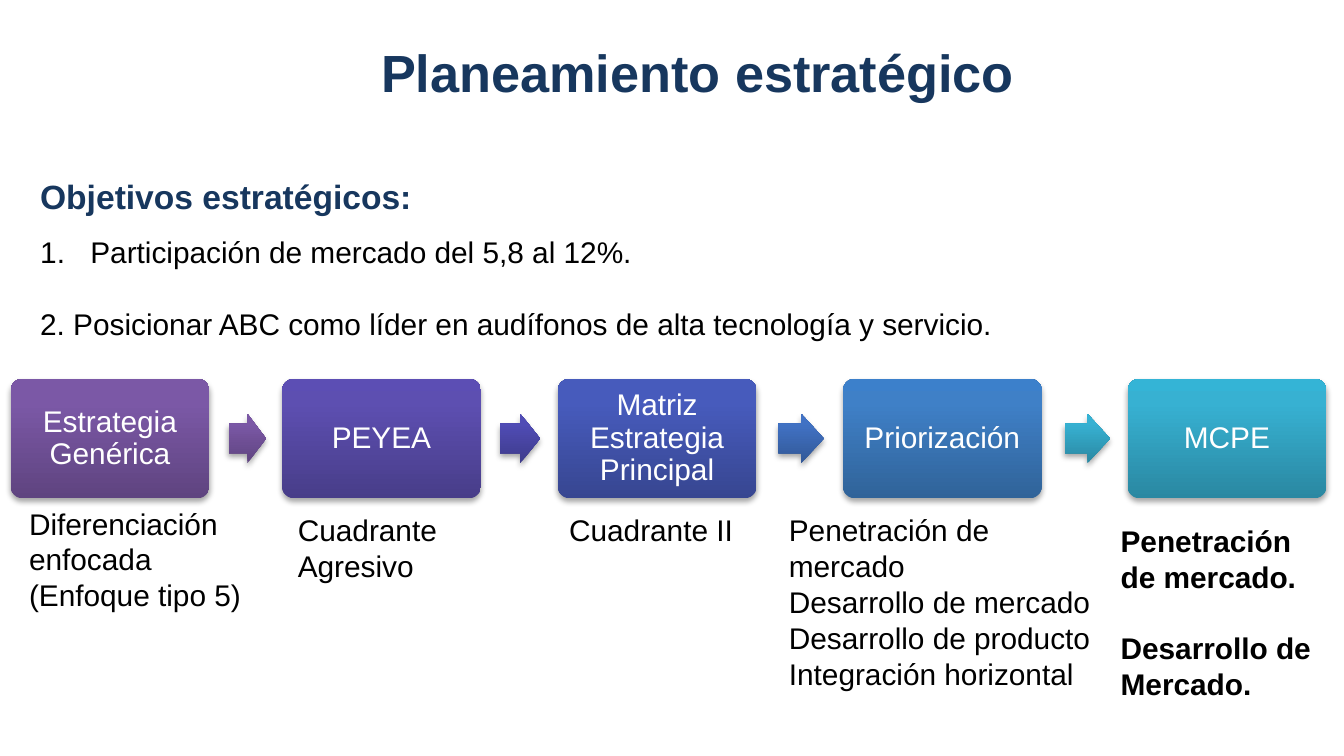
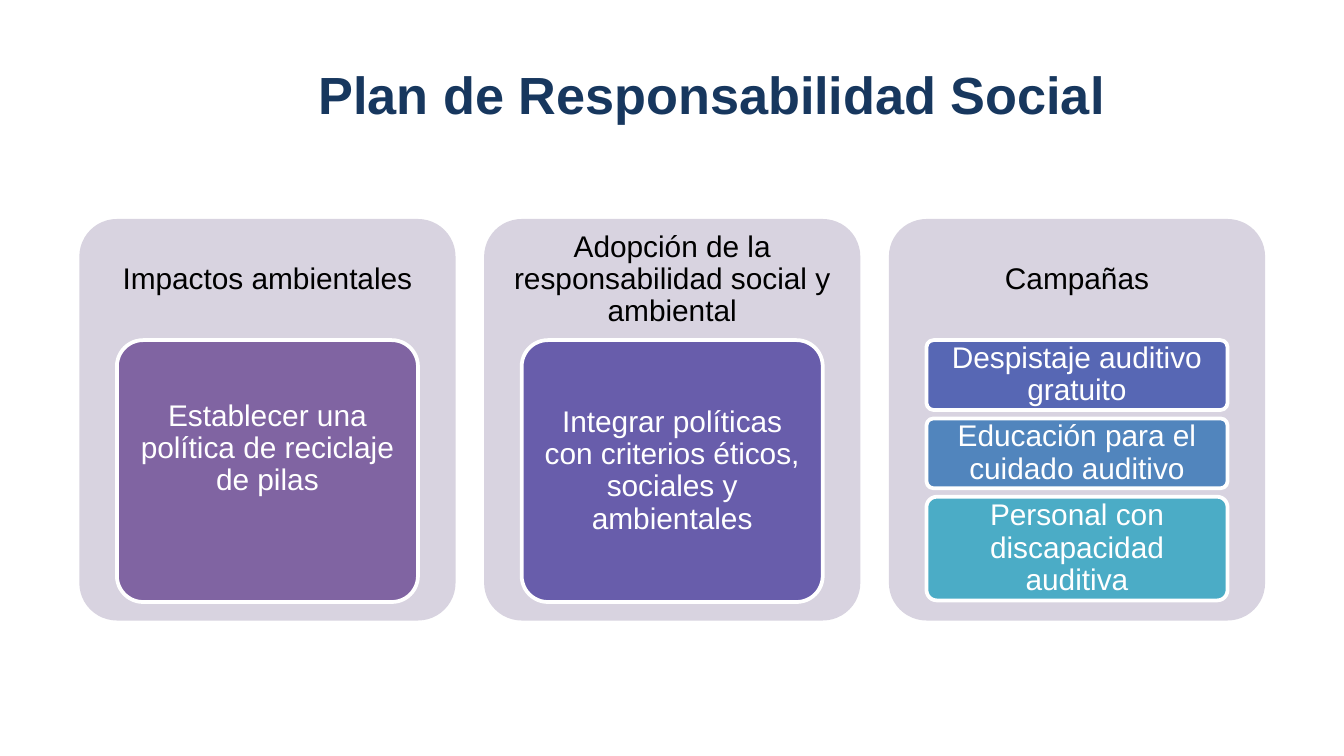
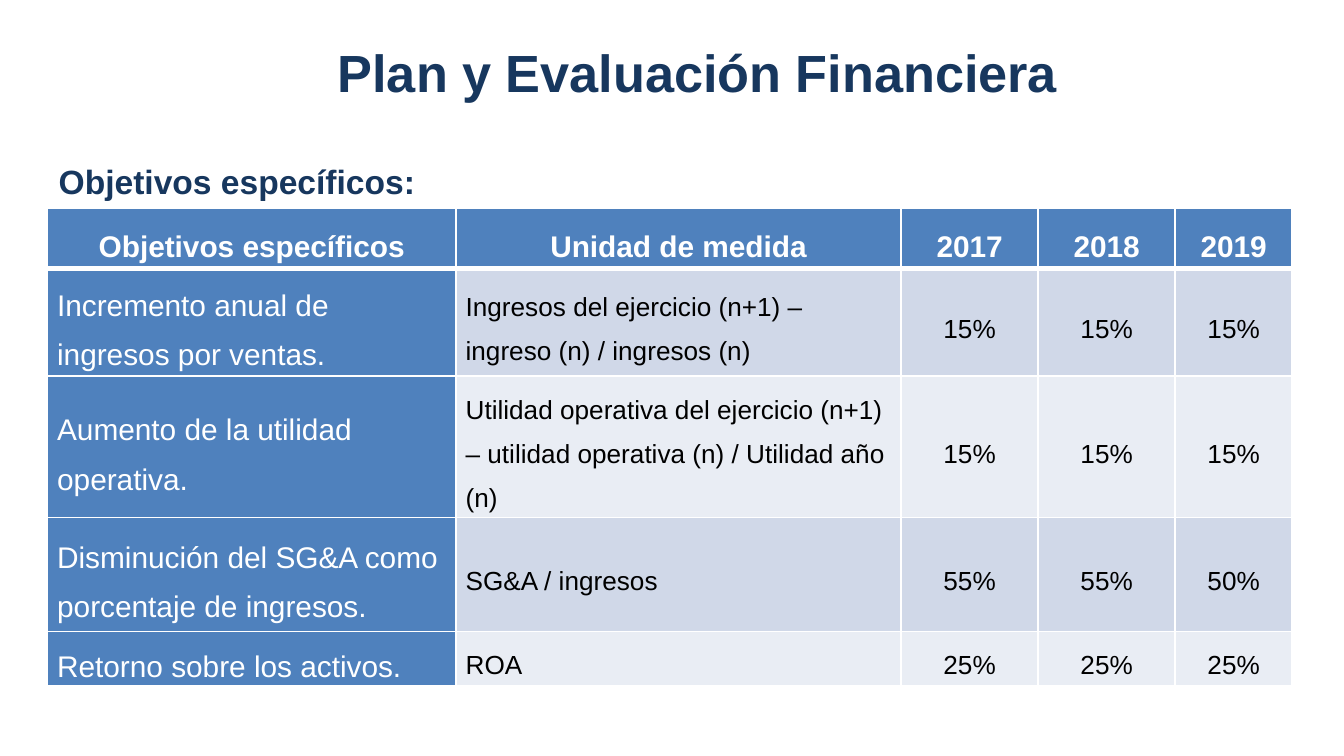
"""Build three slides on strategy, social responsibility and financial goals."""
from copy import deepcopy

from lxml.etree import SubElement
from pptx import Presentation
from pptx.dml.color import RGBColor
from pptx.enum.shapes import MSO_SHAPE
from pptx.enum.text import MSO_ANCHOR, PP_ALIGN
from pptx.oxml.ns import qn
from pptx.util import Cm, Pt

FONT = "Arial"
LEFT, CENTER, JUSTIFY = PP_ALIGN.LEFT, PP_ALIGN.CENTER, PP_ALIGN.JUSTIFY
COLORS = {
    "navy": "17375E", "white": "FFFFFF", "black": "000000", "panel": "D8D3E0",
    "recycling": "8064A2", "policies": "685DAB", "screening": "5767B4",
    "education": "5185BD", "inclusion": "4BACC6",
    "header": "4F81BD", "band_dark": "D0D8E8", "band_light": "E9EDF4",
}
GRADIENTS = {
    "purple": ("5F4480", "7B58A6", "7C57A8"),
    "violet": ("483D89", "5D4FB1", "5C4EB4"),
    "indigo": ("3E3B8B", "504CB5", "4F4BB8"),
    "royal": ("374691", "475BBC", "455ABF"),
    "cobalt": ("325897", "4172C4", "3F72C7"),
    "blue": ("306399", "3F80C7", "3C80CB"),
    "teal": ("2A88A2", "37B1D2", "34B4D6"),
}


def rgb(name):
    return RGBColor.from_string(COLORS[name])


class Deck:
    def __init__(self):
        self.prs = Presentation()
        self.prs.slide_width, self.prs.slide_height = Cm(25.4), Cm(14.29)
        self.s = None

    def slide(self, title, x=5.33, y=0.15):
        self.s = self.prs.slides.add_slide(self.prs.slide_layouts[6])
        self.text((x, y, 15.7, 2.39), [title], size=28, color="navy",
                  bold=True, align=CENTER, anchor=MSO_ANCHOR.MIDDLE)

    def para(self, tf, text, first=False, size=16, color="black", bold=False,
             align=LEFT, spacing=None, before=0):
        p = tf.paragraphs[0] if first else tf.add_paragraph()
        p.alignment = align
        p.space_before = Pt(before)
        if spacing:
            p.line_spacing = spacing
        r = p.add_run()
        r.text = text
        r.font.name, r.font.size, r.font.bold = FONT, Pt(size), bold
        r.font.color.rgb = rgb(color)
        return p

    def fill_frame(self, tf, lines, anchor=MSO_ANCHOR.TOP,
                   insets=(0.25, 0.13, 0.25, 0.13), **style):
        tf.word_wrap = True
        tf.vertical_anchor = anchor
        (tf.margin_left, tf.margin_top,
         tf.margin_right, tf.margin_bottom) = map(Cm, insets)
        for i, line in enumerate(lines):
            self.para(tf, line, first=i == 0, **style)

    def text(self, box, lines, **style):
        tf = self.s.shapes.add_textbox(*map(Cm, box)).text_frame
        self.fill_frame(tf, lines, **style)
        return tf

    def label(self, tf, text, color, insets):
        self.fill_frame(tf, [text], color=color, insets=insets, align=CENTER,
                        spacing=0.9, anchor=MSO_ANCHOR.MIDDLE)

    def shape(self, kind, box, adjustments):
        sp = self.s.shapes.add_shape(kind, *map(Cm, box))
        for i, value in enumerate(adjustments):
            sp.adjustments[i] = value
        sp.shadow.inherit = False
        sp.line.fill.background()
        return sp

    def card(self, box, color, outlined=False):
        sp = self.shape(MSO_SHAPE.ROUNDED_RECTANGLE, box, [0.1])
        sp.fill.solid()
        sp.fill.fore_color.rgb = rgb(color)
        if outlined:
            sp.line.color.rgb = rgb("white")
            sp.line.width = Pt(2)
        return sp

    def glossy(self, kind, box, adjustments, gradient):
        sp = self.shape(kind, box, adjustments)
        sp.fill.gradient()
        sp.fill.gradient_angle = 90
        spPr = sp._element.spPr
        stops = spPr.find(qn("a:gradFill")).find(qn("a:gsLst"))
        stops.append(deepcopy(stops[-1]))
        for stop, position, color in zip(sp.fill.gradient_stops, (0, 0.8, 1),
                                         GRADIENTS[gradient]):
            stop.position = position
            stop.color.rgb = RGBColor.from_string(color)
        shadow = SubElement(spPr.find(qn("a:effectLst")), qn("a:outerShdw"),
                            blurRad=str(Pt(3.1)), dist=str(Pt(1.8)),
                            dir="5400000", rotWithShape="0")
        clr = SubElement(shadow, qn("a:srgbClr"), val=COLORS["black"])
        SubElement(clr, qn("a:alpha"), val="35000")
        return sp

    def number(self, p, indent):
        pPr = p._p.get_or_add_pPr()
        pPr.set("marL", str(Cm(indent)))
        pPr.set("indent", str(-Cm(indent)))
        SubElement(pPr, qn("a:buFont"), typeface="+mj-lt")
        SubElement(pPr, qn("a:buAutoNum"), type="arabicPeriod")

    def borders(self, cell, widths):
        tcPr = cell._tc.get_or_add_tcPr()
        for i, (side, width) in enumerate(zip("LRTB", widths)):
            ln = SubElement(tcPr, qn(f"a:ln{side}"), w=str(Pt(width)))
            fill = SubElement(ln, qn("a:solidFill"))
            SubElement(fill, qn("a:srgbClr"), val=COLORS["white"])
            tcPr.insert(i, ln)

    def table(self, x, y, widths, heights, rows):
        frame = self.s.shapes.add_table(len(rows), len(widths), Cm(x), Cm(y),
                                        Cm(sum(widths)), Cm(sum(heights)))
        table = frame.table
        table.horz_banding = False
        for column, width in zip(table.columns, widths):
            column.width = Cm(width)
        for i, (values, height) in enumerate(zip(rows, heights)):
            table.rows[i].height = Cm(height)
            for j, value in enumerate(values):
                cell = table.cell(i, j)
                strong = i == 0 or j == 0
                band = "band_dark" if i % 2 else "band_light"
                cell.fill.solid()
                cell.fill.fore_color.rgb = rgb("header" if strong else band)
                cell.vertical_anchor = MSO_ANCHOR.MIDDLE
                cell.margin_left = cell.margin_right = Cm(0.18)
                cell.margin_top = cell.margin_bottom = 0
                self.para(cell.text_frame, value, first=True,
                          size=16 if strong else 14,
                          color="white" if strong else "black", bold=i == 0,
                          align=CENTER if i == 0 or j > 1 else LEFT,
                          spacing=1.5)
                self.borders(cell, (1, 1, 3 if i == 1 else 1,
                                    3 if i == 0 else 1))


def strategy(deck):
    deck.slide("Planeamiento estratégico")
    steps = [
        (0.2, "Estrategia Genérica", "purple"),
        (5.33, "PEYEA", "violet"),
        (10.54, "Matriz Estrategia Principal", "royal"),
        (15.93, "Priorización", "blue"),
        (21.31, "MCPE", "teal"),
    ]
    for x, name, gradient in steps:
        sp = deck.glossy(MSO_SHAPE.ROUNDED_RECTANGLE, (x, 7.16, 3.76, 2.26),
                         [0.1], gradient)
        deck.label(sp.text_frame, name, "white", [0.18] * 4)
    arrows = [(4.32, 0.71, "purple"), (9.45, 0.76, "indigo"),
              (14.71, 0.86, "cobalt"), (20.12, 0.86, "teal")]
    for x, width, gradient in arrows:
        deck.glossy(MSO_SHAPE.RIGHT_ARROW, (x, 7.82, width, 0.94),
                    [0.6, 0.5], gradient)

    tf = deck.text((0.51, 3.2, 24.61, 3.43), ["Objetivos estratégicos:"],
                   size=18, color="navy", bold=True, align=JUSTIFY)
    p = deck.para(tf, "Participación de mercado del 5,8 al 12%.",
                  align=JUSTIFY, before=9.5)
    deck.number(p, 0.95)
    deck.para(tf, "2. Posicionar ABC como líder en audífonos de alta "
              "tecnología y servicio.", align=JUSTIFY, before=19)

    deck.text((14.66, 9.55, 6.3, 3.68),
              ["Penetración de mercado", "Desarrollo de mercado",
               "Desarrollo de producto", "Integración horizontal"])
    deck.text((5.38, 9.55, 7.19, 1.63), ["Cuadrante", "Agresivo"])
    deck.text((8.71, 9.55, 7.19, 0.94), ["Cuadrante II"], align=CENTER)
    tf = deck.text((20.93, 9.75, 4.47, 3.68), ["Penetración de mercado."],
                   bold=True)
    deck.para(tf, "Desarrollo de", bold=True, before=19)
    deck.para(tf, "Mercado.", bold=True)
    deck.text((0.3, 9.42, 4.7, 2.31),
              ["Diferenciación enfocada", "(Enfoque tipo 5)"])


def responsibility(deck):
    deck.slide("Plan de Responsabilidad Social", x=5.6, y=0.58)
    panels = [
        ("Impactos ambientales",
         [("Establecer una política de reciclaje de pilas",
           "recycling", 4.95, 0.91)]),
        ("Adopción de la responsabilidad social y ambiental",
         [("Integrar políticas con criterios éticos, sociales y ambientales",
           "policies", 4.95, 0.08)]),
        ("Campañas",
         [("Despistaje auditivo gratuito", "screening", 1.32, 0.08),
          ("Educación para el cuidado auditivo", "education", 1.32, 0.08),
          ("Personal con discapacidad auditiva", "inclusion", 1.96, 0.08)]),
    ]
    for i, (heading, actions) in enumerate(panels):
        x, y = 1.5 + 7.65 * i, 6.43
        deck.card((x, 4.14, 7.11, 7.59), "panel")
        tf = deck.text((x, 4.14, 7.11, 2.29), [])
        deck.label(tf, heading, "black", [0.18] * 4)
        for action, color, height, bottom in actions:
            sp = deck.card((x + 0.71, y, 5.69, height), color, outlined=True)
            deck.label(sp.text_frame, action, "white",
                       (0.1, 0.08, 0.1, bottom))
            y += height + 0.16


def finance(deck):
    deck.slide("Plan y Evaluación Financiera")
    deck.text((0.86, 2.92, 19.99, 1.02), ["Objetivos específicos:"],
              size=18, color="navy", bold=True, align=JUSTIFY)
    rows = [
        ("Objetivos específicos", "Unidad de medida", "2017", "2018", "2019"),
        ("Incremento anual de ingresos por ventas.",
         "Ingresos del ejercicio (n+1) – ingreso (n) / ingresos (n)",
         "15%", "15%", "15%"),
        ("Aumento de la utilidad operativa.",
         "Utilidad operativa del ejercicio (n+1) – utilidad operativa (n) / "
         "Utilidad año (n)", "15%", "15%", "15%"),
        ("Disminución del SG&A como porcentaje de ingresos.",
         "SG&A / ingresos", "55%", "55%", "50%"),
        ("Retorno sobre los activos.", "ROA", "25%", "25%", "25%"),
    ]
    deck.table(0.9, 3.94, (7.72, 8.41, 2.59, 2.59, 2.21),
               (1.14, 1.45, 2.16, 2.16, 0.71), rows)


def main():
    deck = Deck()
    strategy(deck)
    responsibility(deck)
    finance(deck)
    deck.prs.save("out.pptx")


if __name__ == "__main__":
    main()
